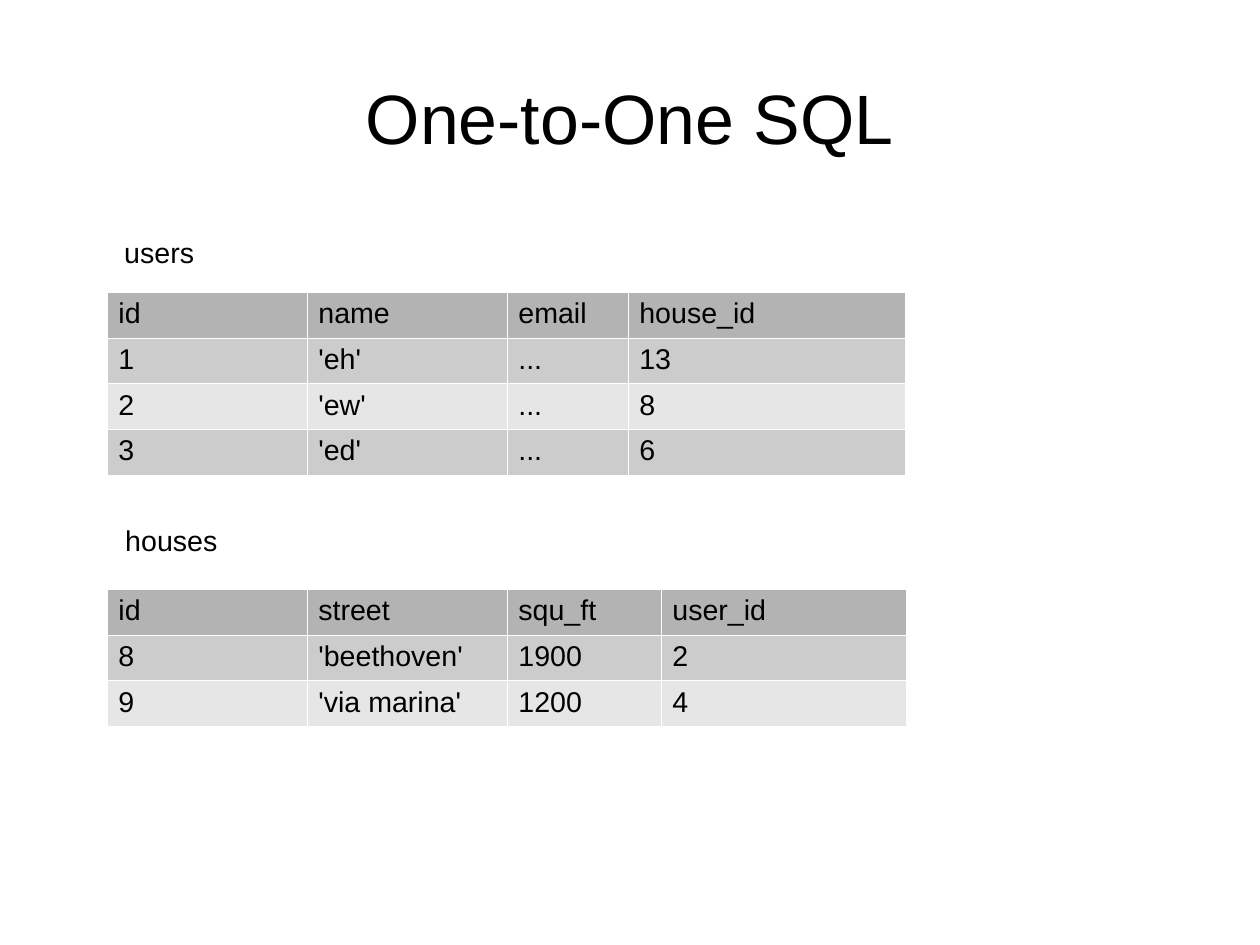
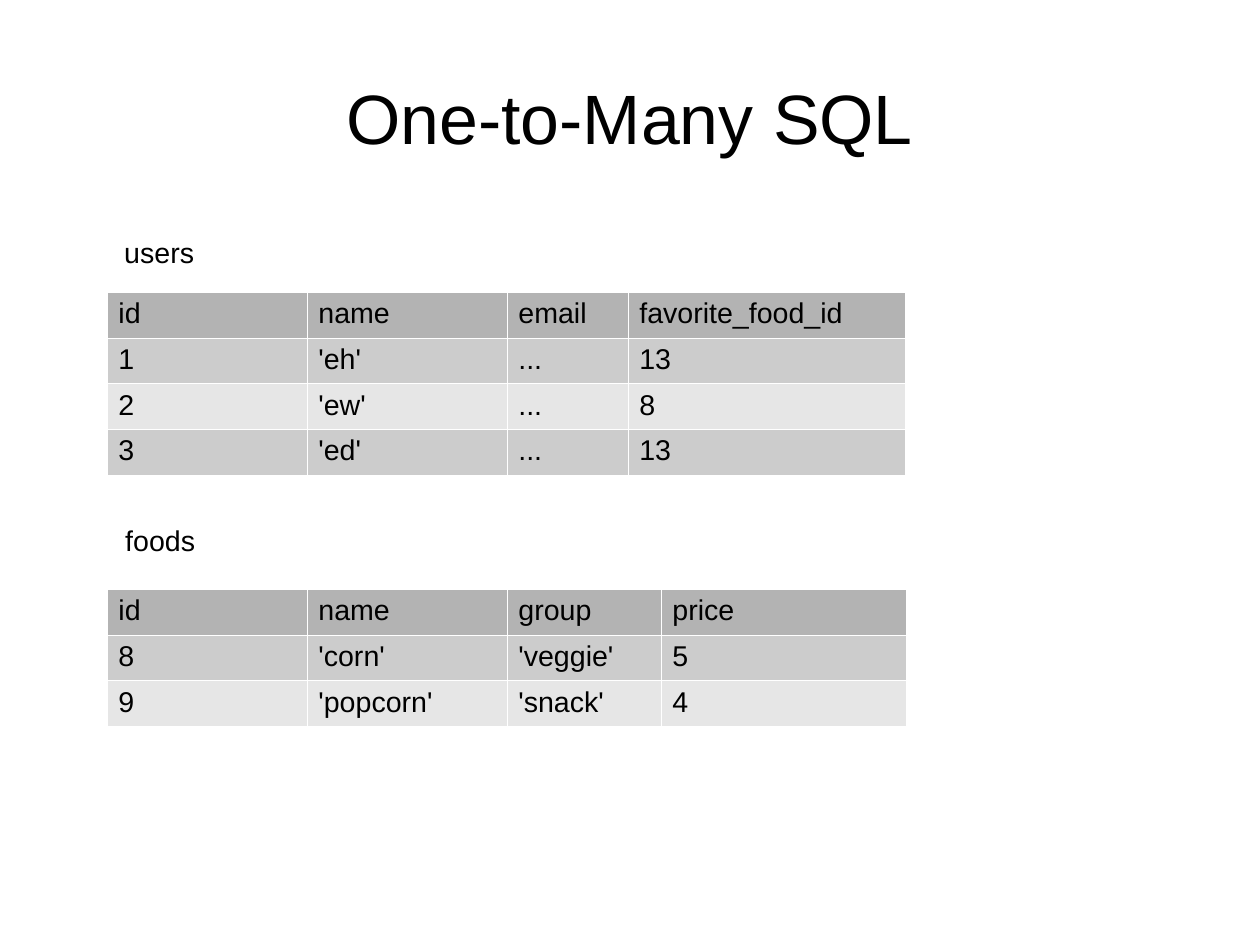
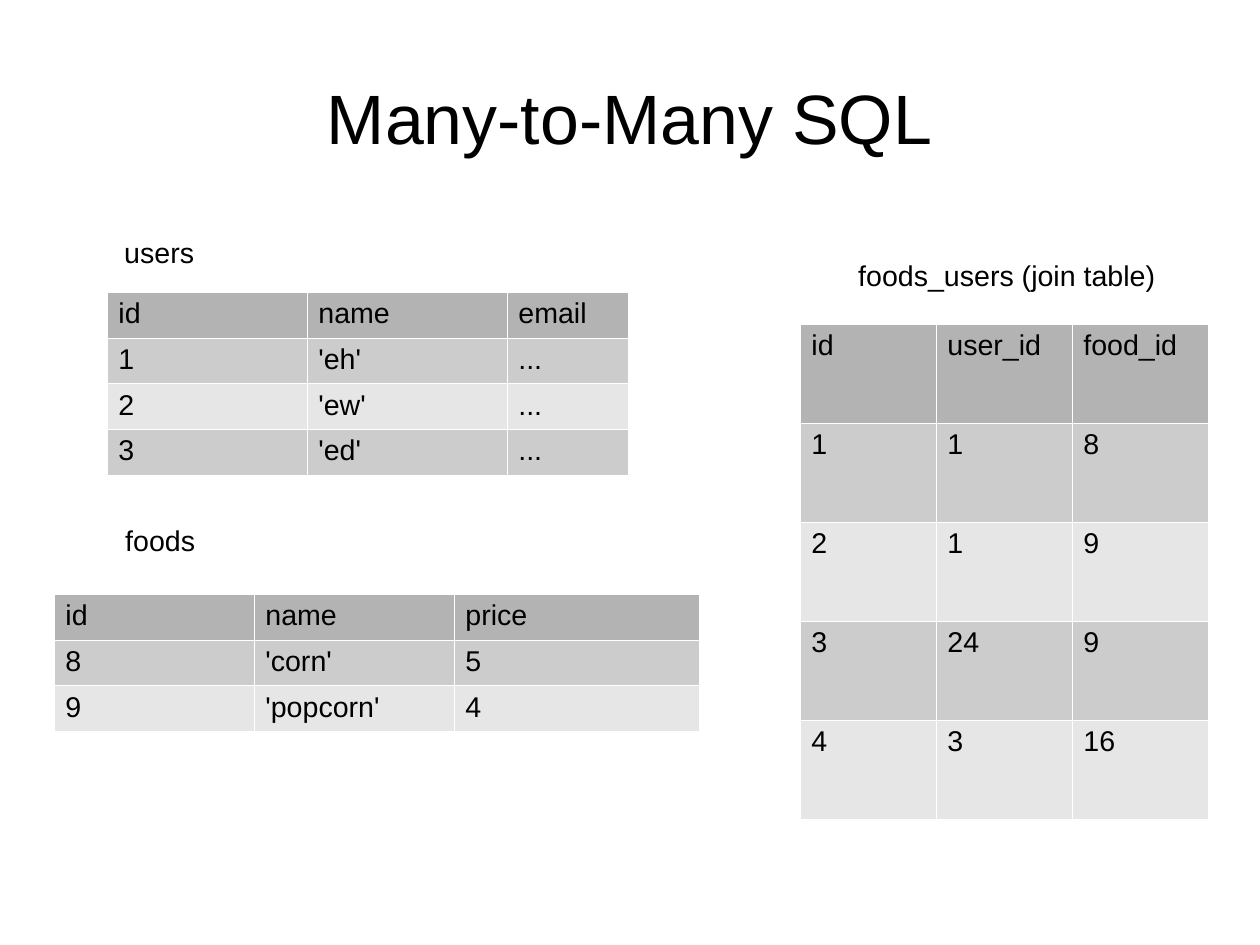
from dataclasses import dataclass

from lxml import etree
from pptx import Presentation
from pptx import util as u
from pptx.dml.color import RGBColor
from pptx.enum import text
from pptx.oxml.ns import qn

EMU_PER_PX = 8000
TITLE_ONLY_LAYOUT = 5


def px(length):
    return u.Emu(length * EMU_PER_PX)


@dataclass(frozen=True)
class Theme:
    font: str = "Arial"
    title_size: int = 44
    body_size: int = 18
    ink: str = "000000"
    paper: str = "FFFFFF"
    header_fill: str = "B3B3B3"
    band_fills: tuple = ("CCCCCC", "E6E6E6")
    border: str = "FFFFFF"
    border_width: float = 0.06


class Deck:
    """Holds the theme, the presentation and the slide being built."""

    def __init__(self, theme):
        self.theme = theme
        self.presentation = Presentation()
        self.presentation.slide_width = px(1260)
        self.presentation.slide_height = px(945)
        self.slide = None

    def style(self, paragraph, size):
        paragraph.font.name = self.theme.font
        paragraph.font.size = u.Pt(size)
        paragraph.font.color.rgb = RGBColor.from_string(self.theme.ink)

    def add_slide(self, title):
        layout = self.presentation.slide_layouts[TITLE_ONLY_LAYOUT]
        self.slide = self.presentation.slides.add_slide(layout)
        background = self.slide.background.fill
        background.solid()
        background.fore_color.rgb = RGBColor.from_string(self.theme.paper)

        shape = self.slide.shapes.title
        shape.left, shape.top, shape.width, shape.height = map(px, (63, 38, 1134, 158))
        frame = shape.text_frame
        frame.text = title
        frame.auto_size = text.MSO_AUTO_SIZE.NONE
        frame.vertical_anchor = text.MSO_ANCHOR.MIDDLE
        frame.margin_left = frame.margin_right = frame.margin_top = frame.margin_bottom = 0
        paragraph = frame.paragraphs[0]
        paragraph.alignment = text.PP_ALIGN.CENTER
        self.style(paragraph, self.theme.title_size)

    def label(self, caption, left, top, width=183):
        box = self.slide.shapes.add_textbox(px(left), px(top), px(width), px(44))
        box.text_frame.word_wrap = True
        box.text_frame.text = caption
        self.style(box.text_frame.paragraphs[0], self.theme.body_size)

    def table(self, rows, left, top, widths, row_height=44):
        frame = self.slide.shapes.add_table(
            len(rows), len(widths), px(left), px(top),
            px(sum(widths)), px(row_height * len(rows)))
        table = frame.table
        table.first_row = table.horz_banding = False
        for column, width in zip(table.columns, widths):
            column.width = px(width)
        for row_index, values in enumerate(rows):
            table.rows[row_index].height = px(row_height)
            for column_index, value in enumerate(values):
                self.fill_cell(table.cell(row_index, column_index), value, row_index)

    def fill_cell(self, cell, value, row_index):
        cell.text = value
        self.style(cell.text_frame.paragraphs[0], self.theme.body_size)
        self.add_borders(cell)
        bands = self.theme.band_fills
        color = bands[(row_index - 1) % len(bands)] if row_index else self.theme.header_fill
        cell.fill.solid()
        cell.fill.fore_color.rgb = RGBColor.from_string(color)

    def add_borders(self, cell):
        """Draw all four sides; must run before the cell gets its fill."""
        properties = cell._tc.get_or_add_tcPr()
        for side in ("a:lnL", "a:lnR", "a:lnT", "a:lnB"):
            line = etree.SubElement(properties, qn(side), w=str(u.Pt(self.theme.border_width)))
            fill = etree.SubElement(line, qn("a:solidFill"))
            etree.SubElement(fill, qn("a:srgbClr"), val=self.theme.border)


USERS = [("id", "name", "email"), ("1", "'eh'", "..."), ("2", "'ew'", "..."), ("3", "'ed'", "...")]
USER_WIDTHS = (200, 200, 121)
DETAIL_WIDTHS = (200, 200, 154, 245)


def add_users(deck, extra_column=()):
    """Place the users table, with one more column if values are given."""
    rows, widths = USERS, USER_WIDTHS
    if extra_column:
        rows = [(*row, value) for row, value in zip(USERS, extra_column)]
        widths = (*USER_WIDTHS, 277)
    deck.label("users", 113, 229)
    deck.table(rows, 107, 292, widths)


def add_details(deck, name, rows, left=107, top=589, widths=DETAIL_WIDTHS):
    """Place the lower table and its name."""
    deck.label(name, 114, 517)
    deck.table(rows, left, top, widths)


def main():
    deck = Deck(Theme())

    deck.add_slide("One-to-One SQL")
    add_users(deck, ("house_id", "13", "8", "6"))
    add_details(deck, "houses", [
        ("id", "street", "squ_ft", "user_id"),
        ("8", "'beethoven'", "1900", "2"),
        ("9", "'via marina'", "1200", "4"),
    ])

    deck.add_slide("One-to-Many SQL")
    add_users(deck, ("favorite_food_id", "13", "8", "13"))
    add_details(deck, "foods", [
        ("id", "name", "group", "price"),
        ("8", "'corn'", "'veggie'", "5"),
        ("9", "'popcorn'", "'snack'", "4"),
    ])

    deck.add_slide("Many-to-Many SQL")
    add_users(deck)
    add_details(deck, "foods", [
        ("id", "name", "price"),
        ("8", "'corn'", "5"),
        ("9", "'popcorn'", "4"),
    ], left=54, top=594, widths=(200, 200, 245))
    deck.label("foods_users (join table)", 847, 252, width=330)
    deck.table([
        ("id", "user_id", "food_id"),
        ("1", "1", "8"),
        ("2", "1", "9"),
        ("3", "24", "9"),
        ("4", "3", "16"),
    ], 800, 324, (136,) * 3, row_height=99)

    deck.presentation.save("out.pptx")


if __name__ == "__main__":
    main()
